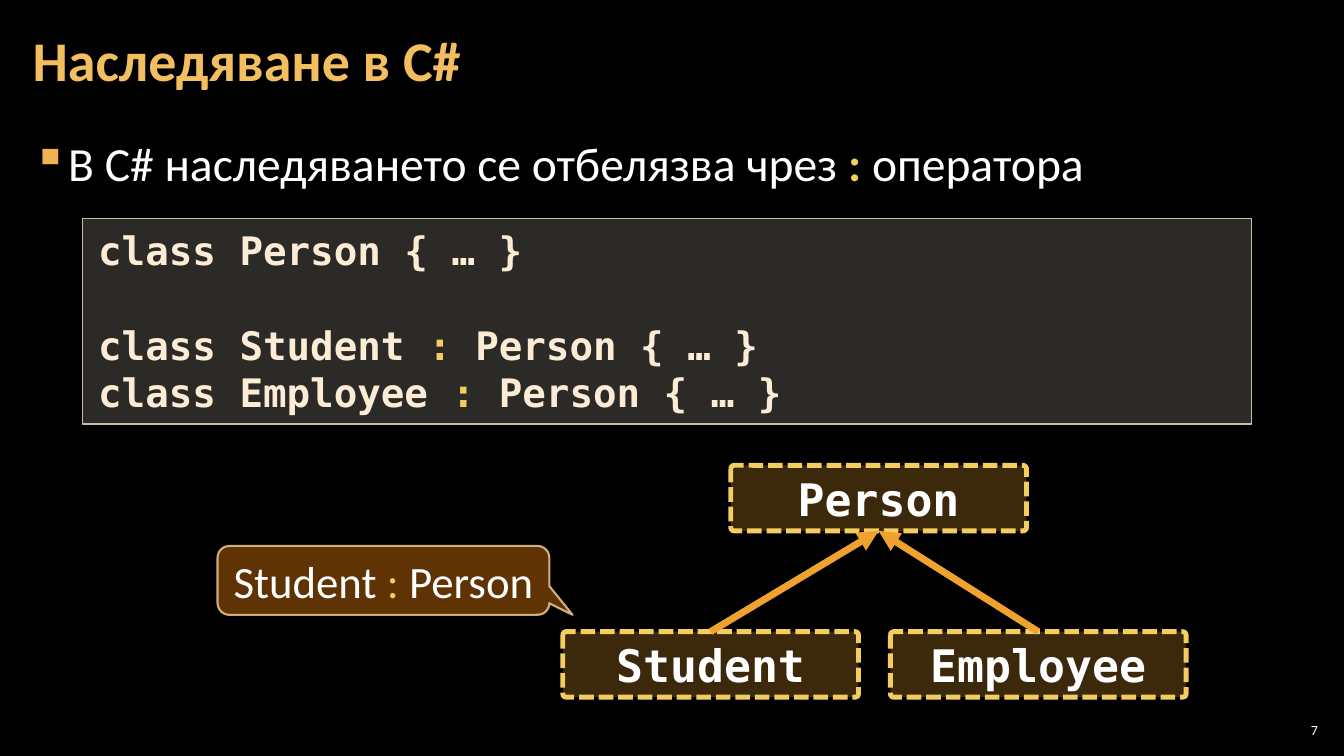
from dataclasses import dataclass

from lxml.etree import SubElement
from pptx import Presentation
from pptx.dml.color import RGBColor
from pptx.dml.fill import FillFormat
from pptx.enum.dml import MSO_LINE
from pptx.enum.shapes import MSO_CONNECTOR, MSO_SHAPE
from pptx.enum.text import MSO_ANCHOR, MSO_AUTO_SIZE, PP_ALIGN
from pptx.oxml.ns import qn
from pptx.shapes.autoshape import Shape
from pptx.slide import Slide
from pptx.text.text import TextFrame, _Paragraph
from pptx.util import Emu, Inches, Pt

CELL = Inches(1) // 12
COLS, ROWS = 160, 90
WHITE, GOLD, ORANGE = "FFFFFF", "F3CD60", "F0A22E"
SANS, MONO = "Calibri", "DejaVu Sans Mono"


@dataclass(frozen=True)
class Box:
    """Place in grid columns and rows."""
    col: float
    row: float
    wide: float
    high: float

    def rect(self) -> tuple[Emu, ...]:
        """Return left, top, width and height."""
        return tuple(grid(n) for n in (self.col, self.row, self.wide, self.high))


@dataclass(frozen=True)
class Type:
    """Font of a paragraph and weight of its colon."""
    face: str
    size: int
    color: str = WHITE
    bold: bool = False
    mark: bool = False


@dataclass(frozen=True)
class Look:
    """Fill and outline, with opacity in percent."""
    fill: str
    alpha: int
    line: str
    width: float
    clear: int = 100


def grid(cells: float) -> Emu:
    """Turn grid cells into a length."""
    return Emu(round(cells * CELL))


def paint(fill: FillFormat, color: str, alpha: int = 100) -> None:
    """Fill with a colour and an opacity."""
    fill.solid()
    fill.fore_color.rgb = RGBColor.from_string(color)
    if alpha < 100:
        tint = fill._xPr.find(qn("a:solidFill"))[0]
        SubElement(tint, qn("a:alpha"), val=str(alpha * 1000))


def write(par: _Paragraph, text: str, font: Type) -> None:
    """Write a line whose colon is gold."""
    par.font.name, par.font.size, par.font.bold = font.face, Pt(font.size), font.bold
    paint(par.font.fill, font.color)
    for part in filter(None, text.partition(":")):
        run = par.add_run()
        run.text = part
        if part == ":":
            paint(run.font.fill, GOLD)
            run.font.bold = font.bold or font.mark


def inset(frame: TextFrame, side: float, edge: float) -> None:
    """Set the margins of a frame in grid cells."""
    frame.margin_left = frame.margin_right = grid(side)
    frame.margin_top = frame.margin_bottom = grid(edge)


def label(slide: Slide, box: Box, anchor: MSO_ANCHOR, side: float) -> TextFrame:
    """Add an empty text box."""
    frame = slide.shapes.add_textbox(*box.rect()).text_frame
    frame.word_wrap = True
    frame.vertical_anchor = anchor
    inset(frame, side, 0.5)
    return frame


def panel(slide: Slide, kind: MSO_SHAPE, box: Box, look: Look) -> Shape:
    """Add a filled and outlined shape."""
    shape = slide.shapes.add_shape(kind, *box.rect())
    shape.shadow.inherit = False
    paint(shape.fill, look.fill, look.alpha)
    paint(shape.line.fill, look.line, look.clear)
    shape.line.width = Pt(look.width)
    return shape


def node(slide: Slide, name: str, col: float, row: float) -> Shape:
    """Add a dashed class box."""
    look = Look(ORANGE, 25, GOLD, 3.5)
    shape = panel(slide, MSO_SHAPE.ROUNDED_RECTANGLE, Box(col, row, 35.2, 7.8), look)
    shape.adjustments[0] = 0.05
    shape.line.dash_style = MSO_LINE.SQUARE_DOT
    frame = shape.text_frame
    frame.vertical_anchor = MSO_ANCHOR.TOP
    frame.paragraphs[0].alignment = PP_ALIGN.CENTER
    write(frame.paragraphs[0], name, Type(MONO, 32, bold=True))
    return shape


def arrow(slide: Slide, child: Shape, base: Shape) -> None:
    """Point from a child class to its base."""
    link = slide.shapes.add_connector(MSO_CONNECTOR.STRAIGHT, 0, 0, 0, 0)
    link.begin_connect(child, 0)
    link.end_connect(base, 2)
    paint(link.line.fill, ORANGE)
    link.line.width = Pt(5)
    SubElement(link.line._get_or_add_ln(), qn("a:tailEnd"), type="triangle")
    SubElement(link._element.spPr, qn("a:effectLst"))


def head(slide: Slide) -> None:
    """Add the title, the bullet and the page number."""
    par = label(slide, Box(2.5, 0.5, 155, 14.5), MSO_ANCHOR.MIDDLE, 1.4).paragraphs[0]
    par.line_spacing = Pt(40)
    write(par, "Наследяване в C#", Type(SANS, 40, "F3BE60", True))

    par = label(slide, Box(2.5, 15.1, 155, 73), MSO_ANCHOR.TOP, 1.4).paragraphs[0]
    props = par._p.get_or_add_pPr()
    props.set("marL", str(grid(4)))
    props.set("indent", str(-grid(4)))
    SubElement(SubElement(props, qn("a:buClr")), qn("a:srgbClr"), val="F2B254")
    SubElement(props, qn("a:buChar"), char="▪")
    par.line_spacing = 1.05
    par.space_after = Pt(6)
    write(par, "В C# наследяването се отбелязва чрез : оператора", Type(SANS, 34, mark=True))

    par = label(slide, Box(151.8, 85.7, 5.6, 2.5), MSO_ANCHOR.MIDDLE, 0.5).paragraphs[0]
    par.alignment = PP_ALIGN.RIGHT
    write(par, "7", Type(SANS, 10))


def code(slide: Slide) -> None:
    """Add the code panel."""
    look = Look("D9D5C7", 20, "C7BFAC", 1)
    frame = panel(slide, MSO_SHAPE.RECTANGLE, Box(9.8, 26, 139.2, 24.5), look).text_frame
    frame.vertical_anchor = MSO_ANCHOR.TOP
    frame.auto_size = MSO_AUTO_SIZE.SHAPE_TO_FIT_TEXT
    inset(frame, 1.9, 1)
    lines = (
        ("class Person { … }", 0),
        ("class Student : Person { … }", 33.6),
        ("class Employee : Person { … }", 0),
    )
    for rank, (text, gap) in enumerate(lines):
        par = frame.add_paragraph() if rank else frame.paragraphs[0]
        par.alignment = PP_ALIGN.LEFT
        if gap:
            par.space_before = Pt(gap)
        write(par, text, Type(MONO, 28, "FCECD5", True))


def tree(slide: Slide) -> None:
    """Add the class tree and its callout."""
    base = node(slide, "Person", 87, 55.4)
    for name, col in (("Employee", 106), ("Student", 67)):
        arrow(slide, node(slide, name, col, 75.2), base)
    look = Look("663606", 95, "F8D49E", 1.5, 80)
    note = panel(slide, MSO_SHAPE.ROUNDED_RECTANGULAR_CALLOUT, Box(25.9, 65, 39.5, 8.2), look)
    for rank, value in enumerate((0.57, 0.5, 0.17)):
        note.adjustments[rank] = value
    par = note.text_frame.paragraphs[0]
    par.alignment = PP_ALIGN.CENTER
    write(par, "Student : Person", Type(SANS, 32))


def main() -> None:
    """Build and save the slide."""
    deck = Presentation()
    deck.slide_width, deck.slide_height = grid(COLS), grid(ROWS)
    slide = deck.slides.add_slide(deck.slide_layouts[6])
    paint(slide.background.fill, "000000")
    head(slide)
    code(slide)
    tree(slide)
    deck.save("out.pptx")


if __name__ == "__main__":
    main()
